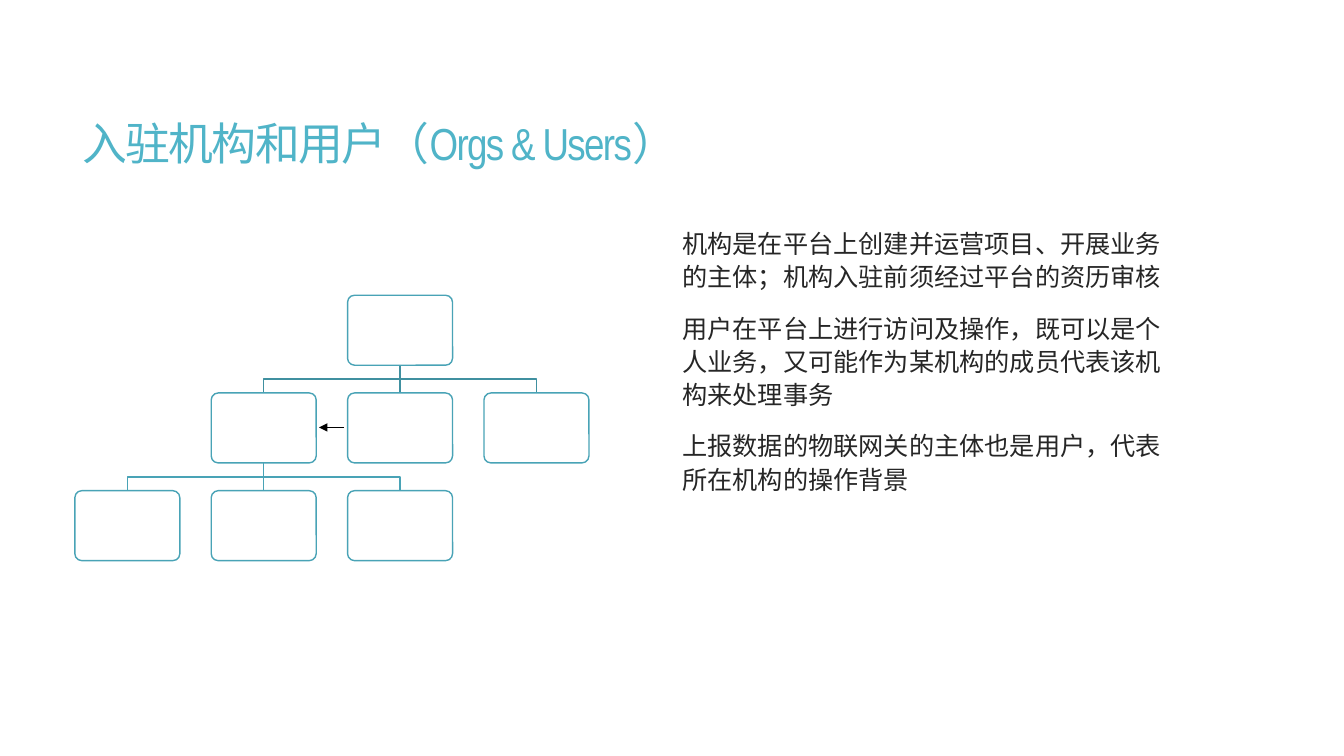
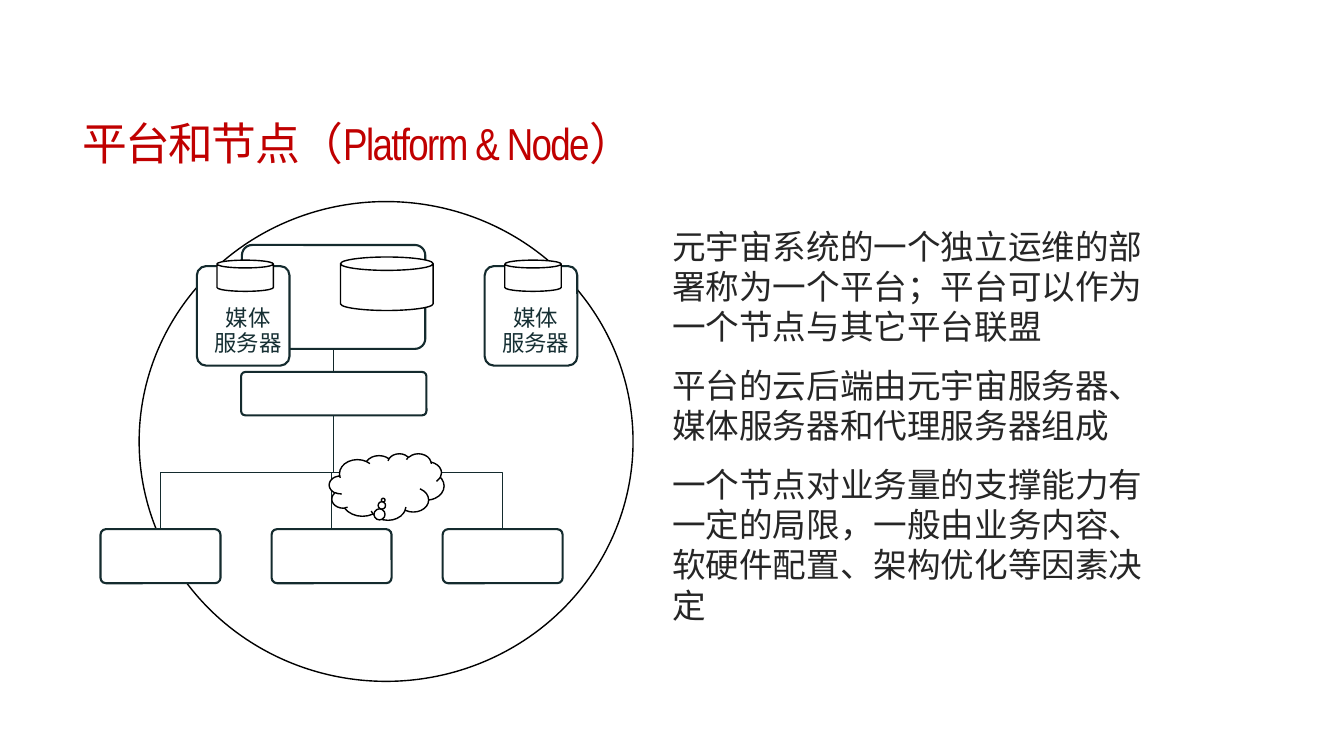
from lxml import etree
from pptx import Presentation
from pptx.dml.color import RGBColor
from pptx.enum.shapes import MSO_CONNECTOR, MSO_SHAPE
from pptx.enum.text import MSO_ANCHOR, PP_ALIGN
from pptx.oxml.ns import qn
from pptx.util import Pt

STRAIGHT = MSO_CONNECTOR.STRAIGHT
ROUND, OVAL, CAN, CLOUD = (MSO_SHAPE.ROUNDED_RECTANGLE, MSO_SHAPE.OVAL,
                           MSO_SHAPE.CAN, MSO_SHAPE.CLOUD_CALLOUT)
TOP, MIDDLE, BOTTOM = MSO_ANCHOR.TOP, MSO_ANCHOR.MIDDLE, MSO_ANCHOR.BOTTOM

# Theme
THEME = {
    "white": "FFFFFF", "black": "000000", "body": "262626",
    "aqua": "50B4C8", "aqua_line": "49A3B6", "aqua_dark": "4090A0",
    "red": "C00000", "ink": "142B2E", "ink_dark": "122629", "label": "162F33",
    "cjk": "Noto Sans CJK SC", "title_font": "Arial Narrow",
    "body_font": "Calibri", "label_font": "Arial",
    "title_size": 32, "label_size": 16,
}
TITLE_BOX = (51.8, 39.6, 848.2, 130.3)
BODY_BOX = (473, 157.5, 367.2, 296.6)

# Content
ORGS = {
    "title": "入驻机构和用户（Orgs & Users）", "color": "aqua",
    "size": 18, "leading": 23.7, "indent": 7.2,
    "body": [
        "机构是在平台上创建并运营项目、开展业务的主体；机构入驻前须经过平台的资历审核",
        "用户在平台上进行访问及操作，既可以是个人业务，又可能作为某机构的成员代表该机构来处理事务",
        "上报数据的物联网关的主体也是用户，代表所在机构的操作背景",
    ],
}
PLATFORM = {
    "title": "平台和节点（Platform & Node）", "color": "red",
    "size": 24, "leading": 28.8, "indent": 0,
    "body": [
        "元宇宙系统的一个独立运维的部署称为一个平台；平台可以作为一个节点与其它平台联盟",
        "平台的云后端由元宇宙服务器、媒体服务器和代理服务器组成",
        "一个节点对业务量的支撑能力有一定的局限，一般由业务内容、软硬件配置、架构优化等因素决定",
    ],
}
SERVER_LABEL = "媒体\v服务器"

# Organisation grid: rows of column numbers
ORG_ROWS = [[2], [1, 2, 3], [0, 1, 2]]
ORG_ORIGIN, ORG_PITCH, ORG_SIZE = (53.5, 210.9), (97.4, 69.8), (75, 50)

# Platform diagram
ZONE = (99.4, 144, 352.8, 342.7)
MAIN_SERVER = (172.8, 175, 131, 74.2)
PROXY = (172.2, 265.7, 132.4, 31)
CLIENTS = [(71.8 + 122.2 * i, 378, 85.7, 38.6) for i in range(3)]
NETWORK = (235.2, 324, 82, 47.5)
MAIN_STORE = (243.2, 183.6, 66.2, 38.2)
MEDIA_SERVERS = [(x, 190.1, 66.2, 71.1) for x in (346.2, 140.6)]


def rgb(name):
    return RGBColor.from_string(THEME[name])


def set_line(sp, color, width=1):
    sp.line.color.rgb = rgb(color)
    sp.line.width = Pt(width)


def add_shape(s, kind, box, line="black", width=1, adj=()):
    sp = s.shapes.add_shape(kind, *map(Pt, box))
    sp.shadow.inherit = False
    sp.fill.solid()
    sp.fill.fore_color.rgb = rgb("white")
    set_line(sp, line, width)
    for i, value in enumerate(adj):
        sp.adjustments[i] = value
    return sp


def add_line(s, start, end, color, arrow=False):
    cx = s.shapes.add_connector(STRAIGHT, *map(Pt, (*start, *end)))
    set_line(cx, color)
    if arrow:
        etree.SubElement(cx.line._get_or_add_ln(), qn("a:tailEnd"), type="triangle")
    etree.SubElement(cx._element.spPr, qn("a:effectLst"))


def add_elbow(s, points, color):
    start, *rest = [(Pt(x), Pt(y)) for x, y in points]
    path = s.shapes.build_freeform(*start)
    path.add_line_segments(rest, close=False)
    sp = path.convert_to_shape()
    sp.shadow.inherit = False
    sp.fill.background()
    set_line(sp, color)


def write(sp, texts, font, size, color, frame, para, gap=0, spacing=None):
    tf = sp.text_frame
    for name, value in {"word_wrap": True, **frame}.items():
        setattr(tf, name, value)
    for i, text in enumerate(texts):
        p = tf.paragraphs[0] if i == 0 else tf.add_paragraph()
        for name, value in para.items():
            setattr(p, name, value)
        if i:
            p.space_before = Pt(gap)
        p.text = text
        for r in p.runs:
            for name, value in {"name": font, "size": Pt(size)}.items():
                setattr(r.font, name, value)
            r.font.color.rgb = rgb(color)
            rPr = r._r.get_or_add_rPr()
            etree.SubElement(rPr, qn("a:ea"), typeface=THEME["cjk"])
            if spacing:
                rPr.set("spc", str(spacing))


def add_page(prs):
    return prs.slides.add_slide(prs.slide_layouts[6])


def add_texts(s, page):
    write(s.shapes.add_textbox(*map(Pt, TITLE_BOX)), [page["title"]],
          THEME["title_font"], THEME["title_size"], page["color"],
          {"vertical_anchor": MIDDLE}, {"line_spacing": 0.85}, spacing=-120)
    write(s.shapes.add_textbox(*map(Pt, BODY_BOX)), page["body"],
          THEME["body_font"], page["size"], "body",
          {"vertical_anchor": TOP, "margin_left": Pt(7.2 + page["indent"])},
          {"line_spacing": Pt(page["leading"])}, gap=13)


def center_x(box):
    return box[0] + box[2] / 2


def join(s, parent, children, color):
    """Connect a parent box to each child, with a bend halfway down."""
    x, bottom = center_x(parent), parent[1] + parent[3]
    for child in children:
        child_x, top = center_x(child), child[1]
        middle = (bottom + top) / 2
        if abs(child_x - x) < 0.5:
            add_line(s, (x, bottom), (x, top), color)
        else:
            add_elbow(s, [(x, bottom), (x, middle), (child_x, middle),
                          (child_x, top)], color)


def build_orgs(prs):
    s = add_page(prs)
    add_texts(s, ORGS)
    rows = [[(ORG_ORIGIN[0] + col * ORG_PITCH[0],
              ORG_ORIGIN[1] + row * ORG_PITCH[1], *ORG_SIZE) for col in cols]
            for row, cols in enumerate(ORG_ROWS)]
    join(s, rows[0][0], rows[1], "aqua_dark")
    join(s, rows[1][0], rows[2], "aqua_line")
    for box in sum(rows, []):
        add_shape(s, ROUND, box, "aqua_line", adj=[0.1])
    # Arrow between the first two boxes of the middle row
    left, right = rows[1][:2]
    y = left[1] + left[3] / 2 - 0.4
    add_line(s, (right[0] - 2.5, y), (left[0] + left[2] + 2, y), "black", arrow=True)


def build_platform(prs):
    s = add_page(prs)
    add_shape(s, OVAL, ZONE)
    add_texts(s, PLATFORM)
    # Server tree
    join(s, MAIN_SERVER, [PROXY], "ink_dark")
    join(s, PROXY, CLIENTS, "ink")
    for box in [MAIN_SERVER, PROXY, *CLIENTS]:
        add_shape(s, ROUND, box, "ink", 1.5, [0.1])
    add_shape(s, CLOUD, NETWORK, adj=[-0.03, 0.2])
    add_shape(s, CAN, MAIN_STORE)
    # Media servers, each with its own store
    for box in MEDIA_SERVERS:
        sp = add_shape(s, ROUND, box, "ink", 1.5, [0.1])
        write(sp, [SERVER_LABEL], THEME["label_font"], THEME["label_size"], "label",
              {"vertical_anchor": BOTTOM, "margin_left": Pt(7), "margin_right": 0,
               "margin_top": 0, "margin_bottom": Pt(5)},
              {"alignment": PP_ALIGN.CENTER, "line_spacing": Pt(17.8)})
        add_shape(s, CAN, (box[0] + 14.4, box[1] - 4.3, 40.3, 22.3))


def main():
    prs = Presentation()
    prs.slide_width, prs.slide_height = Pt(960), Pt(540)
    build_orgs(prs)
    build_platform(prs)
    prs.save("out.pptx")


if __name__ == "__main__":
    main()
